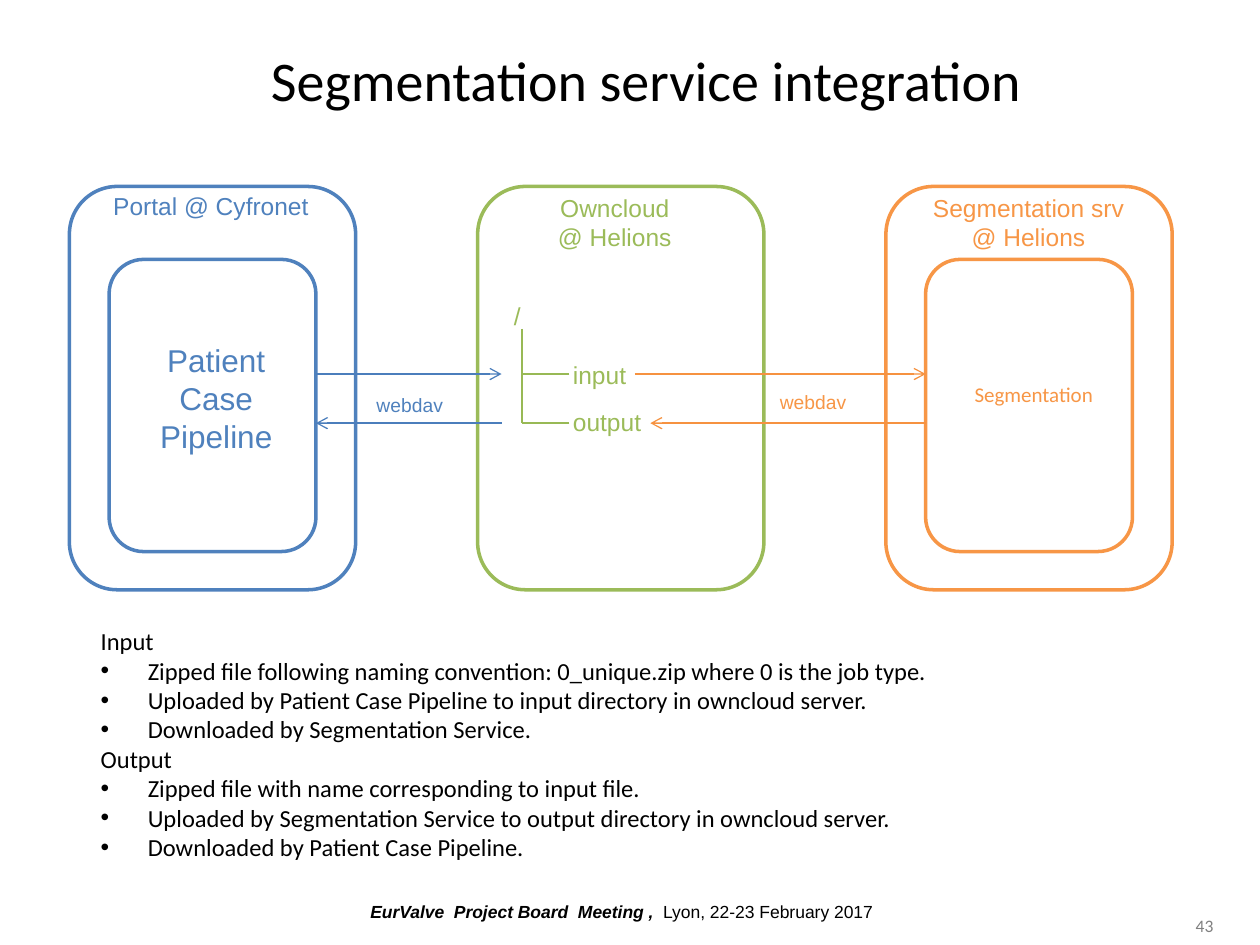
from lxml import etree
from pptx import Presentation
from pptx.dml.color import RGBColor
from pptx.enum import shapes, text
from pptx.oxml.ns import qn
from pptx.util import Cm, Pt

BLUE = RGBColor(0x4F, 0x81, 0xBD)
GREEN = RGBColor(0x9B, 0xBB, 0x59)
ORANGE = RGBColor(0xF7, 0x96, 0x46)
BLUE_LINE = RGBColor(0x4B, 0x7E, 0xBC)
GREEN_LINE = RGBColor(0x98, 0xB9, 0x55)
ORANGE_LINE = RGBColor(0xF6, 0x92, 0x40)
BLACK = RGBColor(0, 0, 0)
GRAY = RGBColor(0x80, 0x80, 0x80)
WHITE = RGBColor(0xFF, 0xFF, 0xFF)
LEFT, CENTER, RIGHT = text.PP_ALIGN.LEFT, text.PP_ALIGN.CENTER, text.PP_ALIGN.RIGHT

# Content (all lengths in cm)
TITLE = "Segmentation service integration"
# heading lines, colour, heading left, top and width, has inner box
SYSTEMS = [
    (["Portal @ Cyfronet"], BLUE, 1.78, 3.73, 4.95, True),
    (["Owncloud", "@ Helions"], GREEN, 10.11, 3.76, 4.57, False),
    (["Segmentation srv", "@ Helions"], ORANGE, 18.26, 3.76, 4.95, True),
]
# lines, left, top, width, height, size, colour, alignment, font
LABELS = [
    (["/"], 10.11, 5.94, 3.38, 0.86, 14, GREEN, LEFT, "Arial"),
    (["input"], 11.3, 7.14, 2.39, 0.86, 14, GREEN, LEFT, "Arial"),
    (["output"], 11.3, 8.08, 2.39, 0.86, 14, GREEN, LEFT, "Arial"),
    (["Patient", "Case", "Pipeline"], 2.77, 6.76, 3.18, 2.57, 18, BLUE, CENTER, "Arial"),
    (["Segmentation"], 19.25, 7.57, 3.18, 0.76, 12, ORANGE, CENTER, "Calibri"),
    (["webdav"], 7.34, 7.8, 1.88, 0.74, 11, BLUE, LEFT, "Arial"),
    (["webdav"], 15.47, 7.75, 1.88, 0.74, 11, ORANGE, LEFT, "Arial"),
]
NOTES = [
    ("Input", [
        "Zipped file following naming convention: 0_unique.zip where 0 is the job type.",
        "Uploaded by Patient Case Pipeline to input directory in owncloud server.",
        "Downloaded by Segmentation Service.",
    ]),
    ("Output", [
        "Zipped file with name corresponding to input file.",
        "Uploaded by Segmentation Service to output directory in owncloud server.",
        "Downloaded by Patient Case Pipeline.",
    ]),
]
FOOTER = [("EurValve  Project Board  Meeting ,  ", True),
          ("Lyon, 22-23 February 2017", False)]
PAGE_NUMBER = "43"

# Layout
SYSTEM_LEFT, SYSTEM_TOP, SYSTEM_PITCH = 1.4, 3.76, 8.23
SYSTEM_WIDTH, SYSTEM_HEIGHT = 5.77, 8.13
INNER_WIDTH, INNER_HEIGHT, INNER_TOP = 4.17, 5.89, 5.23
INNER_INSET = (SYSTEM_WIDTH - INNER_WIDTH) / 2
INPUT_Y, OUTPUT_Y = 7.54, 8.53
PORTAL_EDGE = SYSTEM_LEFT + INNER_INSET + INNER_WIDTH
SERVICE_EDGE = SYSTEM_LEFT + 2 * SYSTEM_PITCH + INNER_INSET
CLOUD_EDGE, TREE_X, TREE_END = 10.11, 10.52, 11.48
# x1, y1, x2, y2, colour, arrowhead at the end
LINES = [
    (TREE_X, 6.63, TREE_X, OUTPUT_Y, GREEN_LINE, False),
    (TREE_END, OUTPUT_Y, TREE_X, OUTPUT_Y, GREEN_LINE, False),
    (TREE_END, INPUT_Y, TREE_X, INPUT_Y, GREEN_LINE, False),
    (PORTAL_EDGE, INPUT_Y, CLOUD_EDGE, INPUT_Y, BLUE_LINE, True),
    (CLOUD_EDGE, OUTPUT_Y, PORTAL_EDGE, OUTPUT_Y, BLUE_LINE, True),
    (12.8, INPUT_Y, SERVICE_EDGE, INPUT_Y, ORANGE_LINE, True),
    (SERVICE_EDGE, OUTPUT_Y, 13.11, OUTPUT_Y, ORANGE_LINE, True),
]


def add_box(page, left, top, width, height, anchor=text.MSO_ANCHOR.TOP):
    box = page.shapes.add_textbox(Cm(left), Cm(top), Cm(width), Cm(height))
    box.text_frame.word_wrap = True
    box.text_frame.vertical_anchor = anchor
    return box.text_frame


def add_span(para, words, size, color, font="Calibri", strong=False):
    span = para.add_run()
    span.text = words
    span.font.size, span.font.name = Pt(size), font
    span.font.color.rgb = color
    span.font.bold = span.font.italic = strong


def add_lines(frame, lines, size, color, align, font="Calibri"):
    for index, words in enumerate(lines):
        para = frame.add_paragraph() if index else frame.paragraphs[0]
        para.alignment = align
        add_span(para, words, size, color, font)


def add_frame(page, left, top, width, height, color):
    shape = page.shapes.add_shape(shapes.MSO_SHAPE.ROUNDED_RECTANGLE,
                                  Cm(left), Cm(top), Cm(width), Cm(height))
    shape.shadow.inherit = False
    shape.fill.solid()
    shape.fill.fore_color.rgb = WHITE
    shape.line.color.rgb = color
    shape.line.width = Pt(2)


def add_line(page, x1, y1, x2, y2, color, arrow):
    line = page.shapes.add_connector(shapes.MSO_CONNECTOR.STRAIGHT,
                                     Cm(x1), Cm(y1), Cm(x2), Cm(y2))
    line.line.color.rgb = color
    line.line.width = Pt(0.75)
    if arrow:
        etree.SubElement(line.line._get_or_add_ln(), qn("a:tailEnd"), type="arrow")
    etree.SubElement(line._element.spPr, qn("a:effectLst"))


def add_bullet(para):
    props = para._p.get_or_add_pPr()
    props.set("marL", str(Cm(0.95)))
    props.set("indent", str(-Cm(0.95)))
    etree.SubElement(props, qn("a:buFont"), typeface="Arial")
    etree.SubElement(props, qn("a:buChar"), char="•")


def main():
    deck = Presentation()
    deck.slide_width, deck.slide_height = Cm(25.4), Cm(19.05)
    page = deck.slides.add_slide(deck.slide_layouts[6])

    # Title
    frame = add_box(page, 3.99, 0, 18.08, 3.18, text.MSO_ANCHOR.MIDDLE)
    add_lines(frame, [TITLE], 32, BLACK, CENTER)

    # Three systems with their headings
    for index, (heading, color, x, y, width, has_inner) in enumerate(SYSTEMS):
        left = SYSTEM_LEFT + index * SYSTEM_PITCH
        add_frame(page, left, SYSTEM_TOP, SYSTEM_WIDTH, SYSTEM_HEIGHT, color)
        if has_inner:
            add_frame(page, left + INNER_INSET, INNER_TOP, INNER_WIDTH, INNER_HEIGHT, color)
        frame = add_box(page, x, y, width, 0.86 if len(heading) == 1 else 1.45)
        add_lines(frame, heading, 14, color, CENTER, "Arial")

    # Directory tree, transfer arrows and labels
    for line in LINES:
        add_line(page, *line)
    for lines, left, top, width, height, size, color, align, font in LABELS:
        add_lines(add_box(page, left, top, width, height), lines, size, color, align, font)

    # Input and output notes
    frame = add_box(page, 1.78, 12.5, 21.82, 5.05)
    para = frame.paragraphs[0]
    for index, (heading, items) in enumerate(NOTES):
        if index:
            para = frame.add_paragraph()
        add_span(para, heading, 14, BLACK)
        for item in items:
            para = frame.add_paragraph()
            add_bullet(para)
            add_span(para, item, 14, BLACK)

    # Footer and page number
    para = add_box(page, 2.18, 18.03, 20.7, 0.69).paragraphs[0]
    para.alignment = CENTER
    for words, strong in FOOTER:
        add_span(para, words, 10, BLACK, "Arial", strong)
    frame = add_box(page, 21.31, 18.36, 3.4, 0.58, text.MSO_ANCHOR.MIDDLE)
    add_lines(frame, [PAGE_NUMBER], 10, GRAY, RIGHT)

    deck.save("out.pptx")


if __name__ == "__main__":
    main()
